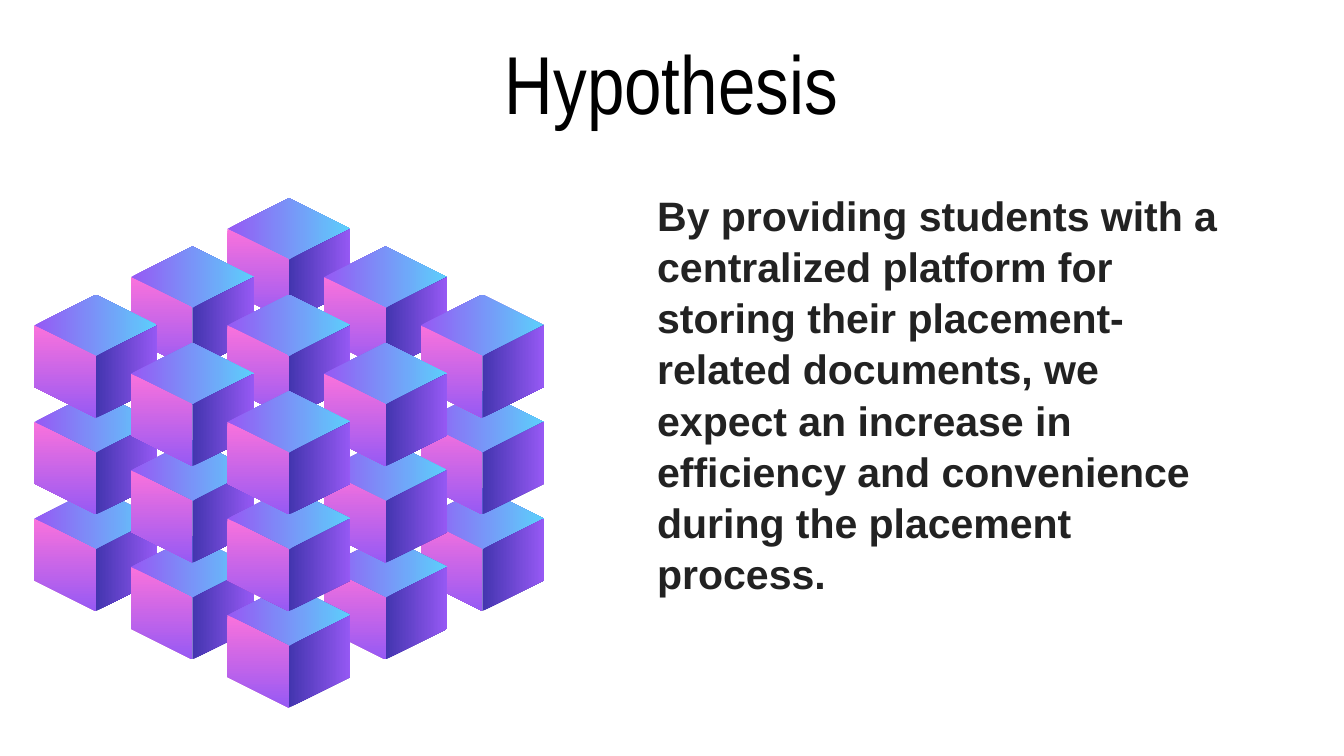
import itertools

import pptx
import pptx.dml.color
import pptx.enum.text
import pptx.util

PX = 914400 / 192  # EMU in one px, on a 1920 x 1080 px slide

THEME = {
    "title": {"font": "Arial Narrow", "size": 44, "color": "000000"},
    "body": {"font": "Arial", "size": 22, "color": "222222"},
    "top": ("9659F4", "5CCFFB", 0),
    "left": ("FA72DC", "9659F4", 270),
    "right": ("4335AF", "9659F4", 0),
}


def emu(px):
    return pptx.util.Emu(round(px * PX))


def add_text(slide, text, style, left, top, width, height):
    shape = slide.shapes.add_textbox(emu(left), emu(top), emu(width), emu(height))
    frame = shape.text_frame
    frame.word_wrap = True
    frame.margin_left = frame.margin_right = emu(19)
    frame.margin_top = frame.margin_bottom = emu(19)
    paragraph = frame.paragraphs[0]
    paragraph.text = text
    paragraph.font.name = style["font"]
    paragraph.font.size = pptx.util.Pt(style["size"])
    paragraph.font.color.rgb = pptx.dml.color.RGBColor.from_string(style["color"])
    return frame, paragraph


presentation = pptx.Presentation()
presentation.slide_width = emu(1920)
presentation.slide_height = emu(1080)
slide = presentation.slides.add_slide(presentation.slide_layouts[6])

# Title
frame, paragraph = add_text(slide, "Hypothesis", THEME["title"], 108, 63, 1703, 108)
frame.vertical_anchor = pptx.enum.text.MSO_ANCHOR.MIDDLE
paragraph.alignment = pptx.enum.text.PP_ALIGN.CENTER

# Faces of one cube, as points around the apex of its top
HALF, EDGE = 88, 88
RISE = HALF // 2
FACES = {
    "top": [(0, 2 * RISE), (-HALF, RISE), (0, 0), (HALF, RISE)],
    "left": [(-HALF, RISE), (-HALF, RISE + EDGE), (0, 2 * RISE + EDGE), (0, 2 * RISE)],
    "right": [(HALF, RISE), (0, 2 * RISE), (0, 2 * RISE + EDGE), (HALF, RISE + EDGE)],
}

# Stack of 3 x 3 x 3 cubes: only the visible ones, from back to front
APEX_X, APEX_Y = 413, 283
STEP_X, STEP_Y = 138, 69
cubes = [cube for cube in itertools.product(range(3), repeat=3) if 2 in cube]
cubes.sort(key=lambda cube: (cube[0] == 2, cube[1] == 2, cube))

stack = slide.shapes.add_group_shape()
for toward_left, height, toward_right in cubes:
    x = APEX_X + STEP_X * (toward_right - toward_left)
    y = APEX_Y + STEP_Y * (toward_right + toward_left + 2 * (2 - height))
    for face, points in FACES.items():
        outline = [(x + dx, y + dy) for dx, dy in points]
        builder = stack.shapes.build_freeform(*outline[0], scale=PX)
        builder.add_line_segments(outline[1:], close=True)
        shape = builder.convert_to_shape()
        shape.shadow.inherit = False
        shape.line.fill.background()
        *colors, angle = THEME[face]
        shape.fill.gradient()
        shape.fill.gradient_angle = angle
        for stop, color, position in zip(shape.fill.gradient_stops, colors, (0, 1)):
            stop.color.rgb = pptx.dml.color.RGBColor.from_string(color)
            stop.position = position

# Hypothesis statement
frame, paragraph = add_text(
    slide,
    "By providing students with a centralized platform for storing their "
    "placement-related documents, we expect an increase in efficiency and "
    "convenience during the placement process.",
    THEME["body"], 920, 250, 841, 607,
)
frame.auto_size = pptx.enum.text.MSO_AUTO_SIZE.SHAPE_TO_FIT_TEXT
paragraph.font.bold = True
paragraph.line_spacing = 1.04

presentation.save("out.pptx")
